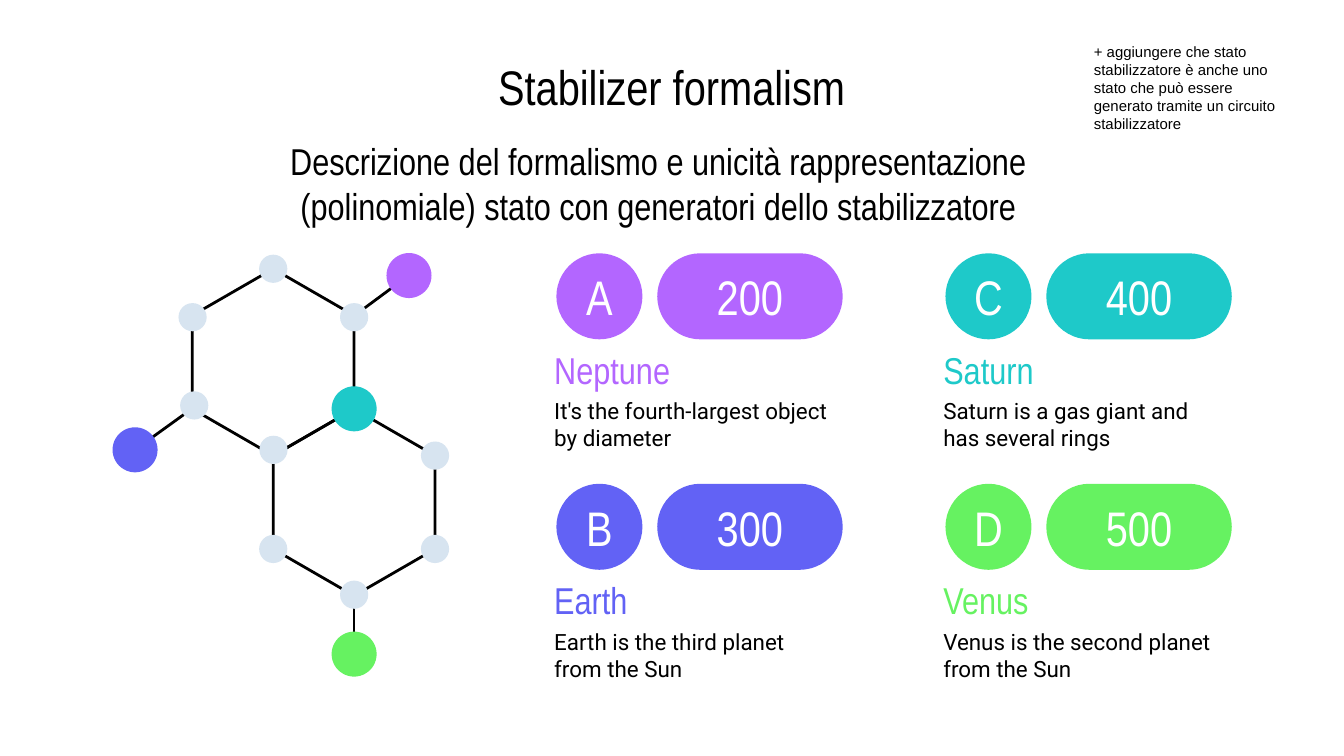
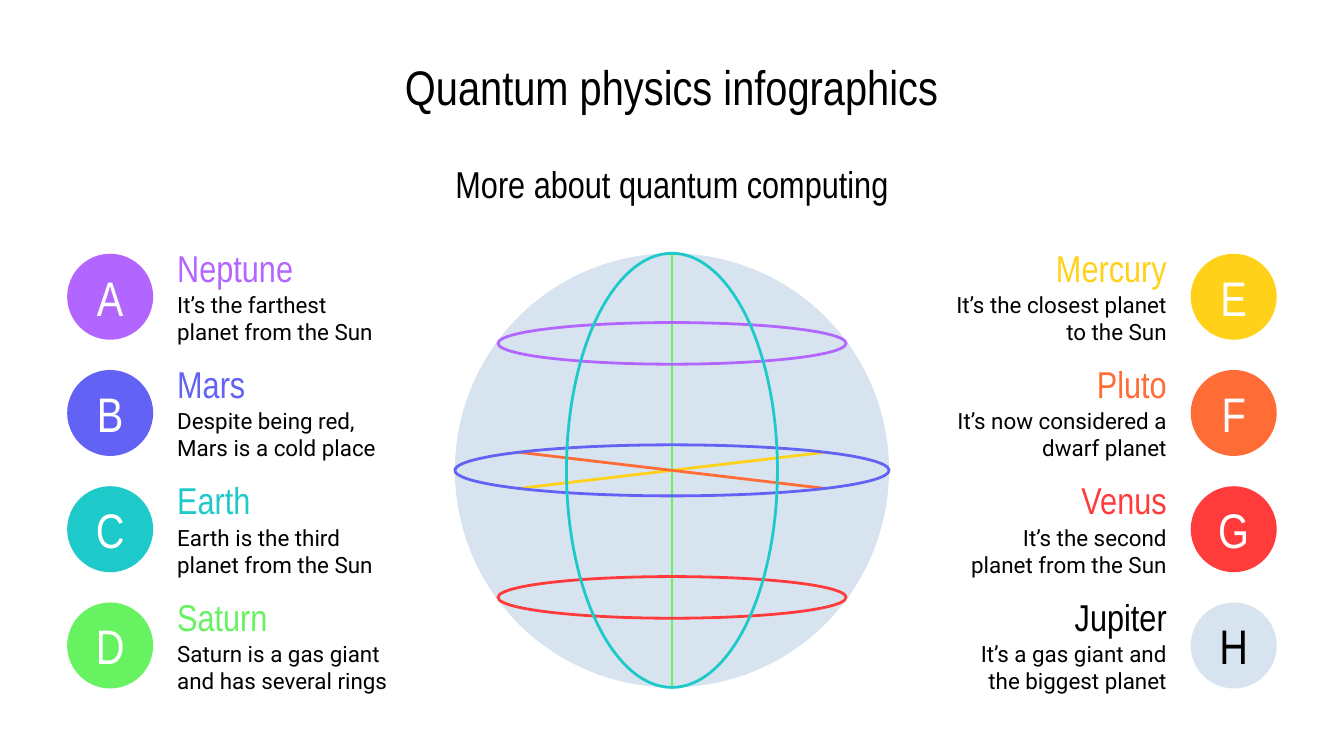
import math
from dataclasses import dataclass

from lxml import etree
from pptx import Presentation
from pptx import util as u
from pptx.dml import color
from pptx.enum import shapes, text
from pptx.oxml import ns


@dataclass(frozen=True)
class Theme:
    black: str = "000000"
    white: str = "FFFFFF"
    pale: str = "D7E4F0"
    purple: str = "B366FF"
    blue: str = "6262F5"
    teal: str = "1EC9C9"
    green: str = "66F261"
    yellow: str = "FFD119"
    orange: str = "FF6C36"
    red: str = "FF3B3B"
    head_font: str = "Arial Narrow"
    body_font: str = "Roboto"
    note_font: str = "Arial"
    big: int = 26
    heading: int = 20
    body: int = 12
    note: int = 8
    stroke: float = 1.5


T = Theme()
CELL = u.Inches(0.1)  # square grid: 100 columns by 56.25 rows
BADGE = 6.4
LEFT, CENTER, RIGHT = text.PP_ALIGN.LEFT, text.PP_ALIGN.CENTER, text.PP_ALIGN.RIGHT
OVAL, PILL = shapes.MSO_SHAPE.OVAL, shapes.MSO_SHAPE.ROUNDED_RECTANGLE


def add(s, kind, cells, fill=None, line=None):
    """Add a text box, line, closed path or preset shape given in grid cells."""
    if kind == "path":
        points = [(round(x * CELL), round(y * CELL)) for x, y in cells]
        path = s.shapes.build_freeform(*points[0])
        path.add_line_segments(points[1:], close=True)
        sp = path.convert_to_shape()
    else:
        box = [round(c * CELL) for c in cells]
        if kind == "text":
            return s.shapes.add_textbox(*box)
        if kind == "line":
            sp = s.shapes.add_connector(shapes.MSO_CONNECTOR.STRAIGHT, *box)
        else:
            sp = s.shapes.add_shape(kind, *box)
    if kind != "line":
        if fill:
            sp.fill.solid()
            sp.fill.fore_color.rgb = color.RGBColor.from_string(fill)
        else:
            sp.fill.background()
    if line:
        sp.line.color.rgb = color.RGBColor.from_string(line)
        sp.line.width = u.Pt(T.stroke)
    else:
        sp.line.fill.background()
    etree.SubElement(sp._element.spPr, ns.qn("a:effectLst"))
    return sp


def write(sp, words, size, ink=T.black, align=LEFT, font=T.head_font):
    """Fill a shape with one vertically centred paragraph."""
    tf = sp.text_frame
    tf.text = words
    tf.word_wrap = True
    tf.auto_size = text.MSO_AUTO_SIZE.NONE
    tf.vertical_anchor = text.MSO_ANCHOR.MIDDLE
    tf.margin_left = tf.margin_right = tf.margin_top = tf.margin_bottom = CELL
    p = tf.paragraphs[0]
    p.alignment = align
    r = p.runs[0]
    r.font.name, r.font.size = font, u.Pt(size)
    r.font.color.rgb = color.RGBColor.from_string(ink)


prs = Presentation()
prs.slide_width, prs.slide_height = round(100 * CELL), round(56.25 * CELL)

# Both slides: title and subtitle
headers = [
    ("Stabilizer formalism",
     "Descrizione del formalismo e unicità rappresentazione (polinomiale) "
     "stato con generatori dello stabilizzatore", (17.3, 11.8, 63.4, 3.7)),
    ("Quantum physics infographics",
     "More about quantum computing", (21.95, 11.8, 56.1, 3.7)),
]
for title, subtitle, place in headers:
    s = prs.slides.add_slide(prs.slide_layouts[5])
    sp = s.shapes.title
    sp.left, sp.top, sp.width, sp.height = [round(c * CELL) for c in (21.95, 3.25, 56.1, 6.3)]
    write(sp, title, T.big, align=CENTER)
    write(add(s, "text", place), subtitle, T.heading, align=CENTER)
formalism, infographics = prs.slides

# Slide 1: molecule rings and bonds
s = formalism
radius, ring_x, ring_y = 6.95, 20.33, 26.95
half = radius * math.sqrt(3) / 2
for cx, cy in [(ring_x, ring_y), (ring_x + half, ring_y + 1.5 * radius)]:
    corners = [math.radians(60 * i - 90) for i in range(6)]
    add(s, "path", [(cx + radius * math.cos(a), cy + radius * math.sin(a)) for a in corners],
        line=T.black)
for bond in [(26.35, 23.5, 30.4, 20.5), (14.3, 30.4, 10, 33.5), (26.35, 44.3, 26.35, 48.3)]:
    add(s, "line", bond, line=T.black)

# Slide 1: atoms, by centre
small, large = 2.1, 3.35
atoms = [(x, y, small, T.pale) for x, y in [
    (20.33, 20), (26.35, 23.6), (14.33, 23.6), (14.45, 30.17), (26.35, 44.25),
    (20.33, 40.85), (20.35, 33.47), (32.37, 40.85), (32.37, 33.9)]]
atoms += [(26.35, 30.42, large, T.teal), (30.43, 20.5, large, T.purple),
          (10.05, 33.47, large, T.blue), (26.35, 48.67, large, T.green)]
for x, y, d, tint in atoms:
    add(s, OVAL, (x - d / 2, y - d / 2, d, d), tint)

# Slide 1: value cards, down the columns
cards = [
    ("A", "200", "Neptune", "It's the fourth-largest object by diameter", T.purple),
    ("B", "300", "Earth", "Earth is the third planet from the Sun", T.blue),
    ("C", "400", "Saturn", "Saturn is a gas giant and has several rings", T.teal),
    ("D", "500", "Venus", "Venus is the second planet from the Sun", T.green),
]
for i, (letter, value, name, fact, tint) in enumerate(cards):
    x, y = 40.25 + 28.95 * (i // 2), 18.85 + 17.15 * (i % 2)
    write(add(s, "text", (x, y + 6.8, 22.5, 3.7)), name, T.heading, tint)
    write(add(s, "text", (x, y + 9.93, 22.5, 5.6)), fact, T.body, font=T.body_font)
    pill = add(s, PILL, (x + 8.65, y, 13.8, BADGE), tint)
    pill.adjustments[0] = 0.5
    write(pill, value, T.big, T.white, CENTER)
    write(add(s, OVAL, (x + 1.15, y, BADGE, BADGE), tint), letter, T.big, T.white, CENTER)

# Slide 1: side note
note = add(s, "text", (80.4, 2.7, 16.8, 7.7))
write(note, "+ aggiungere che stato stabilizzatore è anche uno stato che può essere "
      "generato tramite un circuito stabilizzatore", T.note, font=T.note_font)
note.text_frame.vertical_anchor = text.MSO_ANCHOR.TOP
note.text_frame.margin_top = note.text_frame.margin_bottom = CELL // 2

# Slide 2: planets on both sides
s = infographics
left_planets = [
    ("A", "Neptune", "It’s the farthest planet from the Sun", T.purple),
    ("B", "Mars", "Despite being red, Mars is a cold place", T.blue),
    ("C", "Earth", "Earth is the third planet from the Sun", T.teal),
    ("D", "Saturn", "Saturn is a gas giant and has several rings", T.green),
]
right_planets = [
    ("E", "Mercury", "It’s the closest planet to the Sun", T.yellow),
    ("F", "Pluto", "It’s now considered a dwarf planet", T.orange),
    ("G", "Venus", "It’s the second planet from the Sun", T.red),
    ("H", "Jupiter", "It’s a gas giant and the biggest planet", T.pale),
]
for planets, badge_x, text_x, align in [(left_planets, 5, 12.2, LEFT),
                                        (right_planets, 88.6, 70.15, RIGHT)]:
    for i, (letter, name, fact, tint) in enumerate(planets):
        y = 18.05 + 8.65 * i
        is_pale = tint == T.pale
        write(add(s, OVAL, (badge_x, y + 0.83, BADGE, BADGE), tint), letter, T.big,
              T.black if is_pale else T.white, CENTER)
        write(add(s, "text", (text_x, y + 3.13, 17.65, 5)), fact, T.body, align=align,
              font=T.body_font)
        write(add(s, "text", (text_x, y, 17.65, 3.7)), name, T.heading,
              T.black if is_pale else tint, align)

# Slide 2: sphere with its axes and rings, centred on one point
cx, cy, globe = 50, 35, 32.3
add(s, OVAL, (cx - globe / 2, cy - globe / 2, globe, globe), T.pale)
for dx, dy, tint in [(0, globe / 2, T.green), (-11.4, 1.35, T.yellow), (11.4, 1.35, T.orange)]:
    add(s, "line", (cx - dx, cy - dy, cx + dx, cy + dy), line=tint)
for w, h, shift, tint in [(globe, 3.8, 0, T.blue), (25.9, 3.1, -9.45, T.purple),
                          (25.9, 3.1, 9.45, T.red), (15.7, globe, 0, T.teal)]:
    add(s, OVAL, (cx - w / 2, cy + shift - h / 2, w, h), line=tint)

prs.save("out.pptx")
